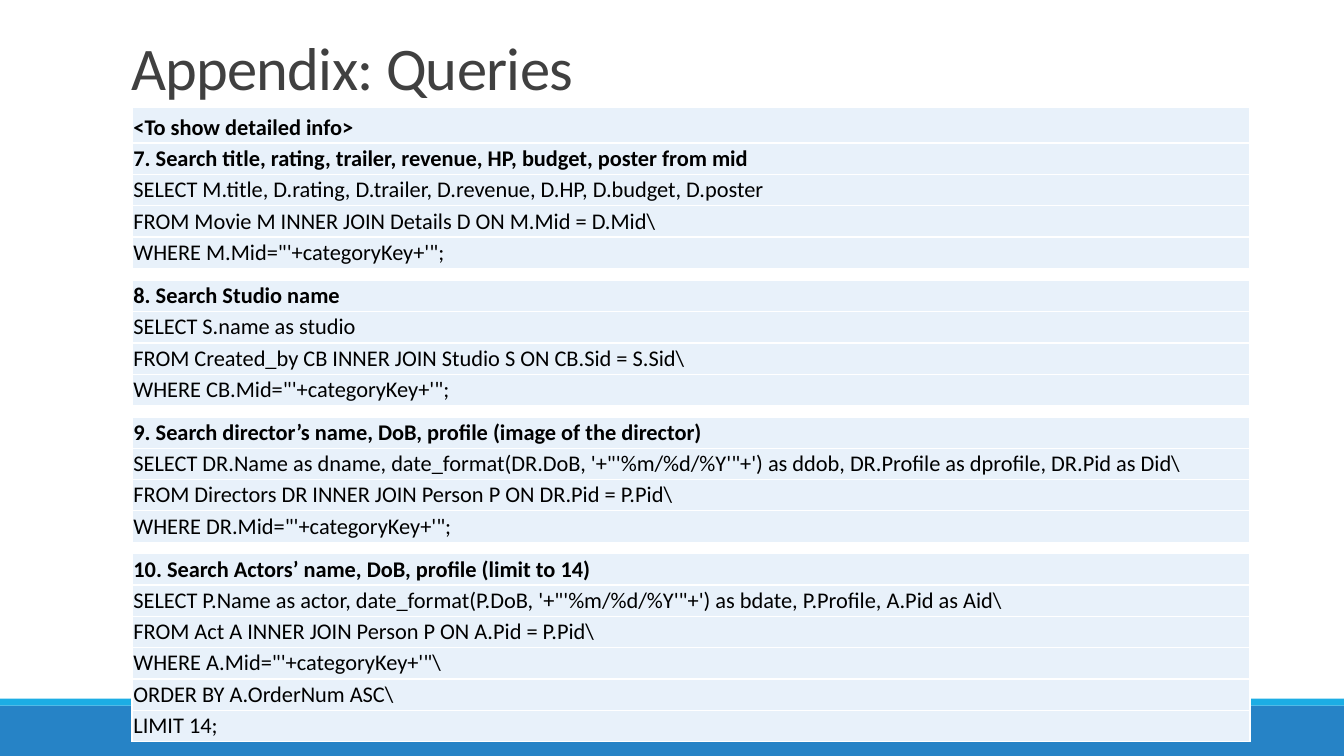
"""Build the appendix slide that lists the detail queries in four tables."""
import pptx
import pptx.dml.color
import pptx.enum.shapes
import pptx.enum.text
import pptx.oxml
import pptx.oxml.ns
import pptx.util

Pt = pptx.util.Pt
RGBColor = pptx.dml.color.RGBColor
ANCHOR = pptx.enum.text.MSO_ANCHOR

BLUE = RGBColor(0x26, 0x83, 0xC6)
CYAN = RGBColor(0x1C, 0xAD, 0xE4)
PALE = RGBColor(0xE8, 0xF1, 0xFA)
GREY = RGBColor(0x40, 0x40, 0x40)
BLACK = RGBColor(0, 0, 0)

LEFT, WIDTH, ROW = 94.3, 798.5, 22.2
QUERIES = [
    (77, 25.2, 2, [
        "<To show detailed info>",
        "7. Search title, rating, trailer, revenue, HP, budget, poster from mid",
        "SELECT M.title, D.rating, D.trailer, D.revenue, D.HP, D.budget, D.poster",
        "FROM Movie M INNER JOIN Details D ON M.Mid = D.Mid\\",
        "WHERE M.Mid=\"'+categoryKey+'\";",
    ]),
    (200.2, ROW, 1, [
        "8. Search Studio name",
        "SELECT S.name as studio",
        "FROM Created_by CB INNER JOIN Studio S ON CB.Sid = S.Sid\\",
        "WHERE CB.Mid=\"'+categoryKey+'\";",
    ]),
    (297.8, ROW, 1, [
        "9. Search director’s name, DoB, profile (image of the director)",
        "SELECT DR.Name as dname, date_format(DR.DoB, '+\"'%m/%d/%Y'\"+') as ddob, "
        "DR.Profile as dprofile, DR.Pid as Did\\",
        "FROM Directors DR INNER JOIN Person P ON DR.Pid = P.Pid\\",
        "WHERE DR.Mid=\"'+categoryKey+'\";",
    ]),
    (395.5, ROW, 1, [
        "10. Search Actors’ name, DoB, profile (limit to 14)",
        "SELECT P.Name as actor, date_format(P.DoB, '+\"'%m/%d/%Y'\"+') as bdate, "
        "P.Profile, A.Pid as Aid\\",
        "FROM Act A INNER JOIN Person P ON A.Pid = P.Pid\\",
        "WHERE A.Mid=\"'+categoryKey+'\"\\",
        "ORDER BY A.OrderNum ASC\\",
        "LIMIT 14;",
    ]),
]
CELL_FORMAT = {
    "margin_left": Pt(1), "margin_right": Pt(1),
    "margin_top": Pt(1.4), "margin_bottom": Pt(1.4),
    "vertical_anchor": ANCHOR.BOTTOM,
}


def apply_format(target, values):
    for name, value in values.items():
        setattr(target, name, value)


def write_span(para, text, size, color, bold):
    span = para.add_run()
    span.text = text
    apply_format(span.font, {"name": "Calibri", "size": Pt(size), "bold": bold})
    span.font.color.rgb = color
    return span


deck = pptx.Presentation()
apply_format(deck, {"slide_width": Pt(960), "slide_height": Pt(540)})
page = deck.slides.add_slide(deck.slide_layouts[5])

for top, height, color in [(504, 36, BLUE), (499, 5, CYAN)]:
    bar = page.shapes.add_shape(
        pptx.enum.shapes.MSO_SHAPE.RECTANGLE, 0, Pt(top), Pt(960), Pt(height))
    bar.shadow.inherit = False
    bar.fill.solid()
    bar.fill.fore_color.rgb = color
    bar.line.fill.background()

title = page.shapes.title
apply_format(title, {"left": Pt(86.4), "top": Pt(22.3), "width": Pt(792), "height": Pt(54.7)})
apply_format(title.text_frame, {
    "vertical_anchor": ANCHOR.BOTTOM, "word_wrap": True,
    "auto_size": pptx.enum.text.MSO_AUTO_SIZE.NONE})
para = title.text_frame.paragraphs[0]
apply_format(para, {"alignment": pptx.enum.text.PP_ALIGN.LEFT, "line_spacing": 0.85})
span = write_span(para, "Appendix: Queries", 43.2, GREY, False)
span.font._element.set("spc", "-50")

for top, first_height, bold_count, lines in QUERIES:
    height = first_height + ROW * (len(lines) - 1)
    table = page.shapes.add_table(
        len(lines), 1, Pt(LEFT), Pt(top), Pt(WIDTH), Pt(height)).table
    apply_format(table, {"first_row": False, "horz_banding": False})
    for index, line in enumerate(lines):
        table.rows[index].height = Pt(ROW if index else first_height)
        cell = table.cell(index, 0)
        apply_format(cell, CELL_FORMAT)
        for side in ("lnL", "lnR", "lnT", "lnB"):
            cell._tc.get_or_add_tcPr().append(pptx.oxml.parse_xml(
                f'<a:{side} {pptx.oxml.ns.nsdecls("a")} w="12700"><a:solidFill>'
                f'<a:srgbClr val="FFFFFF"/></a:solidFill></a:{side}>'))
        cell.fill.solid()
        cell.fill.fore_color.rgb = PALE
        write_span(cell.text_frame.paragraphs[0], line, 16, BLACK, index < bold_count)

deck.save("out.pptx")
